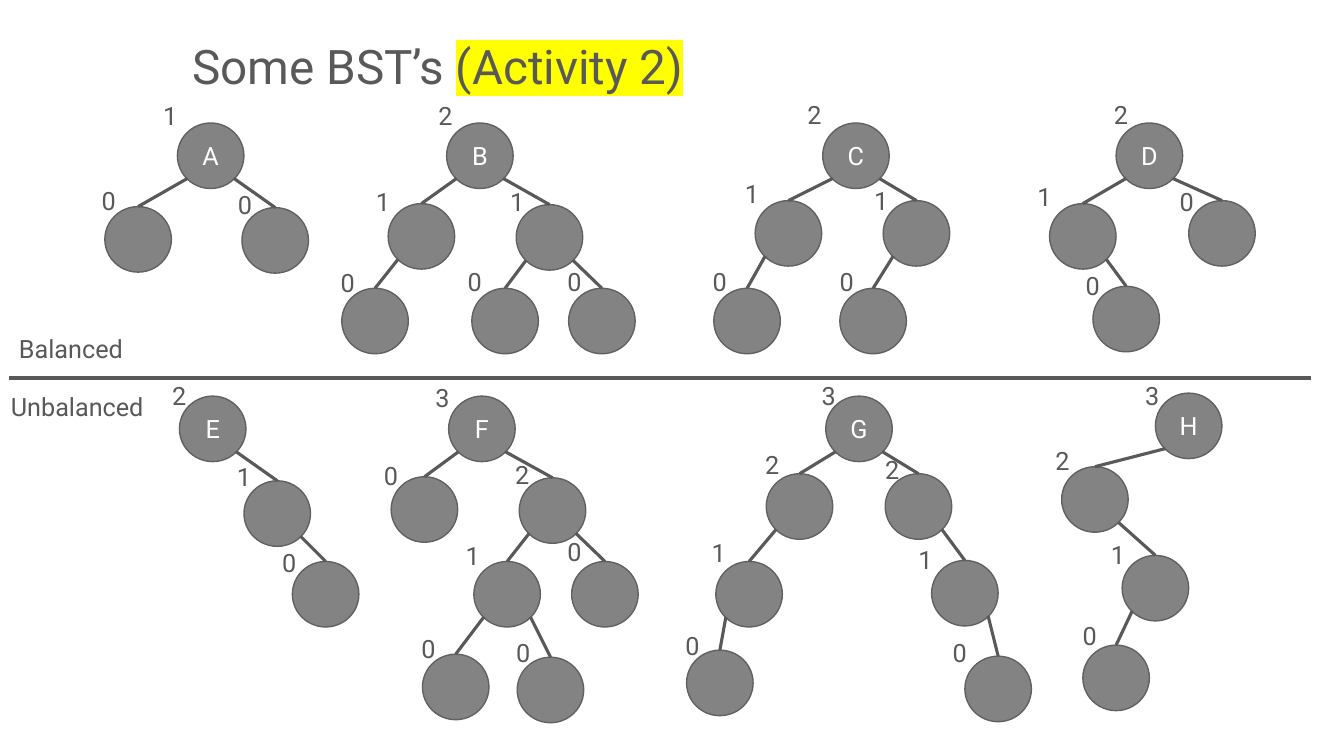
from lxml import etree
from pptx import Presentation, util as u
from pptx.dml.color import RGBColor
from pptx.enum import shapes, text
from pptx.oxml.ns import qn

GRAY = "595959"
NODE_WIDTH, NODE_HEIGHT = 0.66, 0.65
EDGE_X, EDGE_Y = 0.10, 0.55  # where an edge leaves the lower side of a node

# Each node: parent index, left, top, height value, value left, value top
TREES = {
    "A": [(None, 1.76, 1.22, 1, 1.52, 0.95), (0, 1.04, 2.05, 0, 0.91, 1.79),
          (0, 2.40, 2.06, 0, 2.26, 1.83)],
    "B": [(None, 4.43, 1.22, 2, 4.25, 0.95), (0, 3.85, 2.02, 1, 3.63, 1.80),
          (0, 5.12, 2.03, 1, 4.96, 1.80), (1, 3.39, 2.86, 0, 3.28, 2.60),
          (2, 4.68, 2.86, 0, 4.54, 2.59), (2, 5.64, 2.86, 0, 5.53, 2.59)],
    "C": [(None, 8.16, 1.22, 2, 7.91, 0.94), (0, 7.49, 1.99, 1, 7.29, 1.72),
          (0, 8.76, 1.99, 1, 8.57, 1.79), (1, 7.08, 2.86, 0, 6.97, 2.59),
          (2, 8.33, 2.86, 0, 8.23, 2.59)],
    "D": [(None, 11.07, 1.22, 2, 10.95, 0.94), (0, 10.41, 2.02, 1, 10.19, 1.75),
          (0, 11.79, 1.99, 0, 11.60, 1.80), (1, 10.84, 2.84, 0, 10.67, 2.63)],
    "E": [(None, 1.78, 3.93, 2, 1.61, 3.72), (0, 2.42, 4.77, 1, 2.25, 4.53),
          (1, 2.90, 5.57, 0, 2.70, 5.38)],
    "F": [(None, 4.45, 3.93, 3, 4.22, 3.74), (0, 3.88, 4.73, 0, 3.71, 4.52),
          (0, 5.15, 4.74, 2, 5.01, 4.51), (2, 4.70, 5.57, 1, 4.52, 5.31),
          (2, 5.67, 5.57, 0, 5.53, 5.27), (3, 4.19, 6.49, 0, 4.08, 6.23),
          (3, 5.13, 6.52, 0, 5.02, 6.27)],
    "G": [(None, 8.19, 3.93, 3, 8.05, 3.72), (0, 7.60, 4.70, 2, 7.49, 4.41),
          (0, 8.78, 4.70, 2, 8.68, 4.46), (1, 7.10, 5.57, 1, 6.96, 5.28),
          (2, 9.24, 5.56, 1, 9.01, 5.35), (3, 6.81, 6.45, 0, 6.70, 6.20),
          (4, 9.57, 6.51, 0, 9.35, 6.27)],
    "H": [(None, 11.46, 3.90, 3, 11.26, 3.72), (0, 10.53, 4.63, 2, 10.37, 4.37),
          (1, 11.13, 5.51, 1, 10.92, 5.30), (2, 10.74, 6.40, 0, 10.64, 6.10)],
}

presentation = Presentation()
presentation.slide_width, presentation.slide_height = u.Inches(13.33), u.Inches(7.5)
slide = presentation.slides.add_slide(presentation.slide_layouts[6])


def color(hex_string):
    return RGBColor.from_string(hex_string)


def add_run(paragraph, words, size=18, fill=GRAY):
    run = paragraph.add_run()
    run.text = words
    run.font.size = u.Pt(size)
    run.font.color.rgb = color(fill)
    run.font.name = "Roboto"
    return run


# Title with its highlighted part
title = slide.shapes.add_textbox(*map(u.Inches, (1.81, 0.26, 10.25, 0.73))).text_frame
title.word_wrap = True
title.vertical_anchor = text.MSO_ANCHOR.BOTTOM
paragraph = title.paragraphs[0]
paragraph.line_spacing = 0.9
add_run(paragraph, "Some BST’s ", 34)
activity = add_run(paragraph, "(Activity 2)", 34)
highlight = etree.Element(qn("a:highlight"))
etree.SubElement(highlight, qn("a:srgbClr"), val="FFFF00")
activity.font._element.find(qn("a:solidFill")).addnext(highlight)

# Divider between the two rows, then the edges of every tree
lines = [(0.09, 3.75, 13, 3.75)]
labels = [("Balanced", 0.09, 3.26, 1.27), ("Unbalanced", 0.01, 3.83, 1.59)]

# Nodes
for letter, nodes in TREES.items():
    for parent, left, top, height, label_left, label_top in nodes:
        node = slide.shapes.add_shape(
            shapes.MSO_SHAPE.OVAL,
            *map(u.Inches, (left, top, NODE_WIDTH, NODE_HEIGHT)))
        node.shadow.inherit = False
        node.fill.solid()
        node.fill.fore_color.rgb = color("838383")
        node.line.color.rgb = color("616161")
        node.line.width = u.Pt(1)
        labels.append((str(height), label_left, label_top, 0.35))
        if parent is None:
            node.text_frame.vertical_anchor = text.MSO_ANCHOR.MIDDLE
            paragraph = node.text_frame.paragraphs[0]
            paragraph.alignment = text.PP_ALIGN.CENTER
            add_run(paragraph, letter, fill="FFFFFF")
        else:
            parent_left, parent_top = nodes[parent][1:3]
            offset = EDGE_X if left < parent_left else NODE_WIDTH - EDGE_X
            lines.append((parent_left + offset, parent_top + EDGE_Y,
                          left + NODE_WIDTH / 2, top))

# Lines
for ends in lines:
    line = slide.shapes.add_connector(
        shapes.MSO_CONNECTOR.STRAIGHT, *map(u.Inches, ends))
    line.line.color.rgb = color(GRAY)
    line.line.width = u.Pt(2.25)
    etree.SubElement(line._element.spPr, qn("a:effectLst"))

# Row names and height values
for words, left, top, width in labels:
    label = slide.shapes.add_textbox(*map(u.Inches, (left, top, width, 0.4)))
    label.text_frame.word_wrap = False
    label.text_frame.auto_size = text.MSO_AUTO_SIZE.SHAPE_TO_FIT_TEXT
    add_run(label.text_frame.paragraphs[0], words)

presentation.save("out.pptx")
